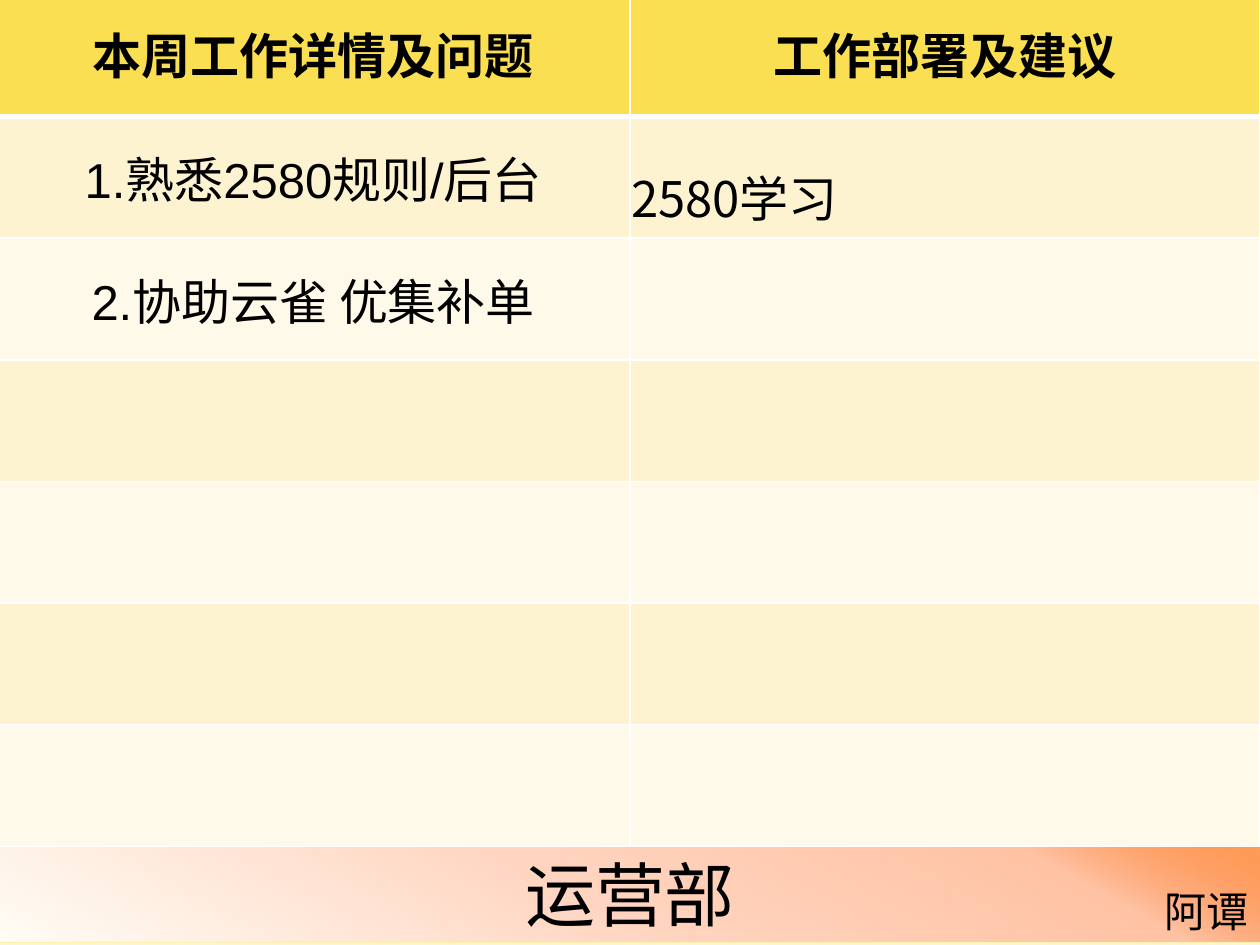
from dataclasses import dataclass

from lxml.etree import SubElement
from pptx import Presentation
from pptx.dml.color import RGBColor
from pptx.enum.shapes import MSO_SHAPE as Shape
from pptx.enum.text import MSO_ANCHOR as Anchor, PP_ALIGN as Align
from pptx.oxml.ns import qn
from pptx.util import Inches, Pt

CJK_FONT = "Noto Sans CJK SC"
BLACK, WHITE, HEADER_FILL = "000000", "FFFFFF", "FBDF53"
BAND_FILLS = ("FDF3D1", "FEF9E9")
ROW_COUNT = 7
TABLE_HEIGHT = 6.76
COLUMN_WIDTHS = (5.03, 5)


@dataclass
class Stop:
    position: int
    color: str
    alpha: int = 100


@dataclass
class CellText:
    row: int
    column: int
    text: str
    font: str = CJK_FONT
    align: Align = Align.CENTER
    anchor: Anchor = Anchor.MIDDLE
    tight: bool = True


CELL_TEXTS = (
    CellText(0, 0, "本周工作详情及问题"),
    CellText(0, 1, "工作部署及建议"),
    CellText(1, 0, "1.熟悉2580规则/后台", font="Arial", tight=False),
    CellText(1, 1, "2580学习", align=Align.LEFT, anchor=Anchor.BOTTOM),
    CellText(2, 0, "2.协助云雀 优集补单", font="Arial", tight=False),
)


def rgb(color: str) -> RGBColor:
    return RGBColor.from_string(color)


def set_gradient(fill, element, stops: tuple, angle: int) -> None:
    """Fill with any number of stops; the angle runs counterclockwise."""
    fill.gradient()
    fill.gradient_angle = angle
    stop_list = next(element.iter(qn("a:gsLst")))
    stop_list.clear()
    for stop in stops:
        entry = SubElement(stop_list, qn("a:gs"), pos=str(stop.position * 1000))
        color = SubElement(entry, qn("a:srgbClr"), val=stop.color)
        if stop.alpha < 100:
            SubElement(color, qn("a:alpha"), val=str(stop.alpha * 1000))


def set_text(text_frame, text: str, size: int, align: Align,
             font: str = CJK_FONT, bold: bool = False) -> None:
    text_frame.text = text
    paragraph = text_frame.paragraphs[0]
    paragraph.alignment = align
    for run in paragraph.runs:
        run.font.size = Pt(size)
        run.font.bold = bold
        run.font.name = font
        run.font.color.rgb = rgb(BLACK)
        SubElement(run.font._element, qn("a:ea"), typeface=CJK_FONT)


def set_borders(cell, is_header: bool, is_below_header: bool) -> None:
    """Draw white cell borders, thick between the header and the body."""
    properties = cell._tc.get_or_add_tcPr()
    widths = {"lnL": 1, "lnR": 1,
              "lnT": 3 if is_below_header else 1,
              "lnB": 3 if is_header else 1}
    for index, (side, width) in enumerate(widths.items()):
        line = SubElement(properties, qn(f"a:{side}"), w=str(Pt(width)))
        fill = SubElement(line, qn("a:solidFill"))
        SubElement(fill, qn("a:srgbClr"), val=WHITE)
        properties.insert(index, line)


def add_department_band(slide) -> None:
    band = slide.shapes.add_shape(
        Shape.RECTANGLE, Inches(-0.02), Inches(6.71), Inches(10.04), Inches(0.77))
    band.shadow.inherit = False
    stops = (Stop(0, "FFFDF6"), Stop(45, "FFD6C2"),
             Stop(83, "FFC2A3"), Stop(100, "FF5D0D", 58))
    set_gradient(band.fill, band._element, stops, 61)
    band.line.color.rgb = rgb("FDF1B2")
    band.line.width = Pt(0.75)
    band.text_frame.vertical_anchor = Anchor.MIDDLE
    set_text(band.text_frame, "运营部", 40, Align.CENTER)


def add_author(slide) -> None:
    author = slide.shapes.add_textbox(
        Inches(9.14), Inches(6.98), Inches(0.87), Inches(0.5))
    author.text_frame.word_wrap = False
    set_text(author.text_frame, "阿谭", 24, Align.RIGHT)


def add_work_table(slide) -> None:
    table = slide.shapes.add_table(
        ROW_COUNT, len(COLUMN_WIDTHS), Inches(-0.03), Inches(-0.04),
        Inches(sum(COLUMN_WIDTHS)), Inches(TABLE_HEIGHT)).table
    for column, width in zip(table.columns, COLUMN_WIDTHS):
        column.width = Inches(width)

    for row_index, row in enumerate(table.rows):
        row.height = Inches(TABLE_HEIGHT / ROW_COUNT)
        color = BAND_FILLS[(row_index - 1) % 2] if row_index else HEADER_FILL
        for cell in row.cells:
            cell.fill.solid()
            cell.fill.fore_color.rgb = rgb(color)
            set_borders(cell, row_index == 0, row_index == 1)

    for item in CELL_TEXTS:
        cell = table.cell(item.row, item.column)
        cell.vertical_anchor = item.anchor
        if item.tight:
            cell.margin_left = cell.margin_right = cell.margin_top = Inches(0.01)
            cell.margin_bottom = Inches(0.05)
        set_text(cell.text_frame, item.text, 28, item.align, item.font,
                 bold=item.row == 0)


def main() -> None:
    presentation = Presentation()
    presentation.slide_width = Inches(10)
    presentation.slide_height = Inches(7.5)
    slide = presentation.slides.add_slide(presentation.slide_layouts[6])

    # Background
    stops = (Stop(0, "FFFDF6"), Stop(74, "FDF1B2"),
             Stop(83, "FDF1B2"), Stop(100, "FEF5CB"))
    set_gradient(slide.background.fill, slide._element, stops, 270)

    # Footer and weekly table
    add_department_band(slide)
    add_author(slide)
    add_work_table(slide)
    presentation.save("out.pptx")


if __name__ == "__main__":
    main()
